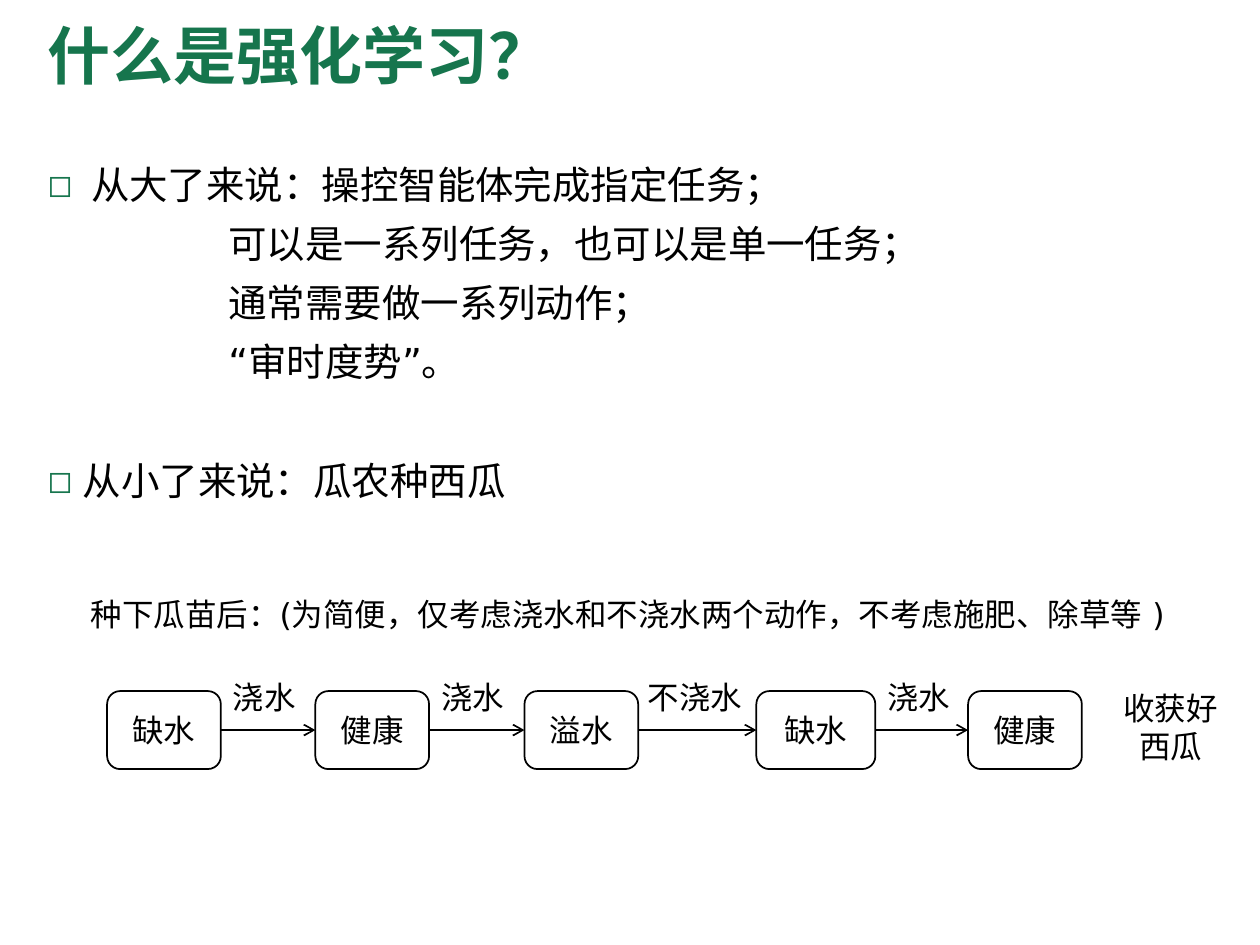
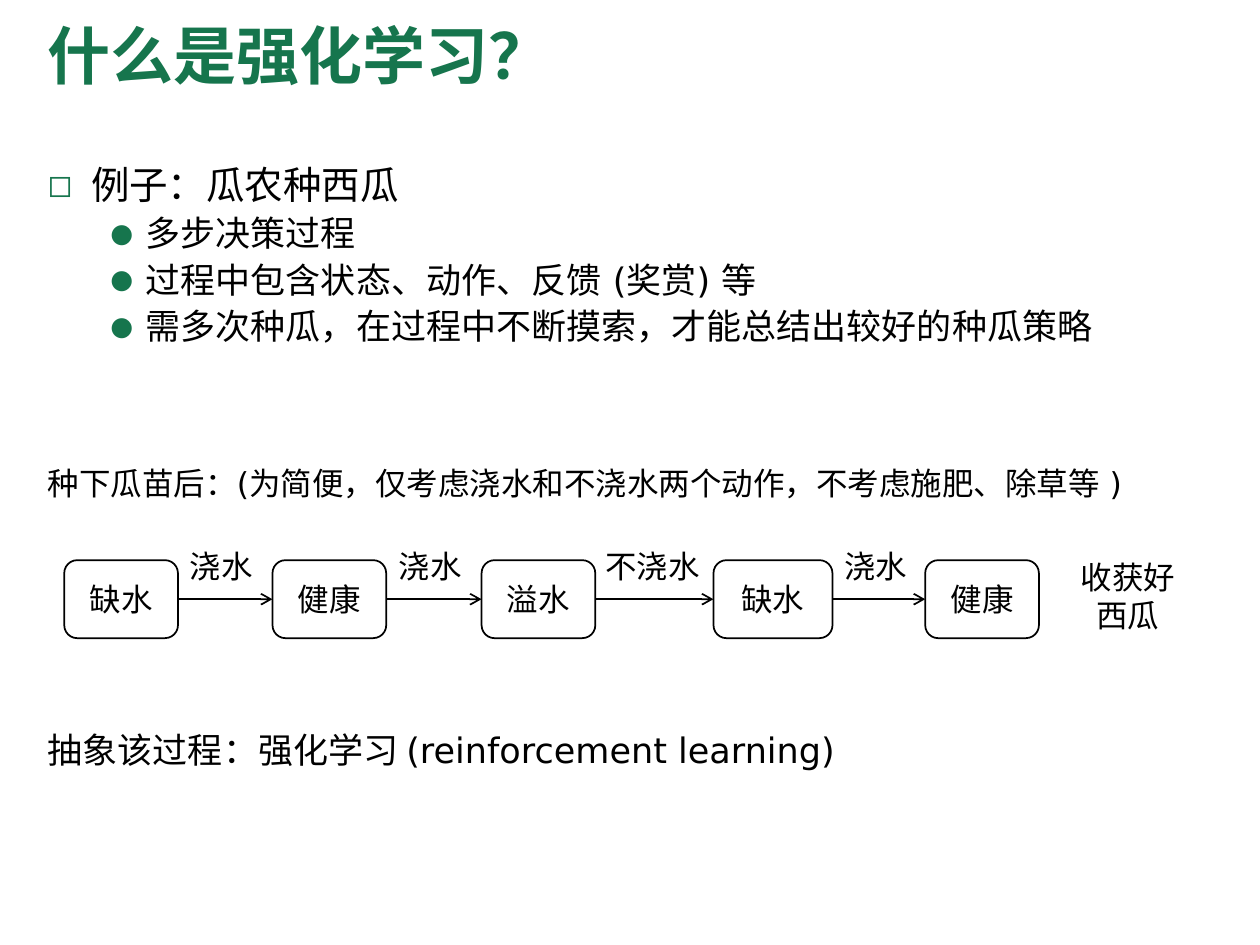
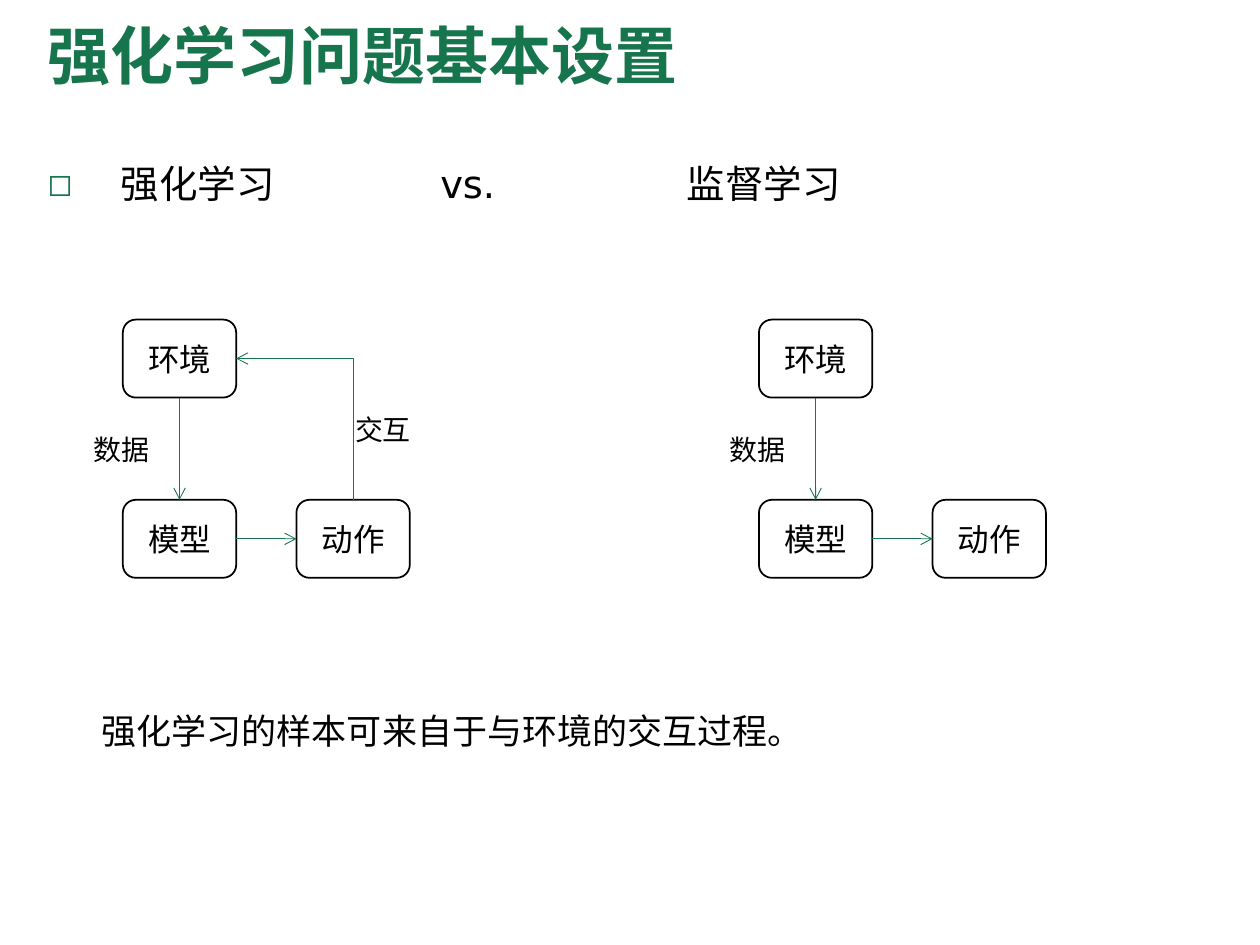
"""Build three slides that introduce reinforcement learning."""
from lxml.etree import SubElement
from pptx import Presentation
from pptx.dml.color import RGBColor
from pptx.enum.shapes import MSO_CONNECTOR, MSO_SHAPE
from pptx.enum.text import MSO_ANCHOR, PP_ALIGN
from pptx.oxml.ns import qn
from pptx.util import Pt

COLOURS = {"green": "16754D", "black": "000000"}
LATIN, CHINESE = "DejaVu Sans", "Noto Sans CJK SC"
SQUARE, DISC = "◻", "●"
BULLET_SCALE = {SQUARE: "80000", DISC: "75000"}


def add_text(slide, box, lines, size=18, font=LATIN, colour="black", bold=False, align=PP_ALIGN.LEFT,
             anchor=MSO_ANCHOR.TOP, spacing=None, outlined=False):
    """Add a text box or outlined node; a line is (runs, size, margin, hang, bullet, space before, tabs)."""
    position = [Pt(length) for length in box]
    if outlined:
        shape = slide.shapes.add_shape(MSO_SHAPE.ROUNDED_RECTANGLE, *position)
        shape.shadow.inherit = False
        shape.fill.background()
        shape.line.color.rgb = RGBColor.from_string(COLOURS["black"])
        shape.line.width = Pt(1)
    else:
        shape = slide.shapes.add_textbox(*position)
    frame = shape.text_frame
    frame.word_wrap = True
    frame.vertical_anchor = anchor
    if isinstance(lines, str):
        lines = [(lines, size, 0, 0, None, 0, ())]
    for index, (runs, line_size, margin, hang, bullet, before, tabs) in enumerate(lines):
        paragraph = frame.add_paragraph() if index else frame.paragraphs[0]
        paragraph.alignment = align
        properties = paragraph._p.get_or_add_pPr()
        properties.set("marL", str(Pt(margin)))
        properties.set("indent", str(Pt(-hang)))
        if bullet:
            bullet_colour = SubElement(properties, qn("a:buClr"))
            SubElement(bullet_colour, qn("a:srgbClr"), val=COLOURS["green"])
            SubElement(properties, qn("a:buSzPct"), val=BULLET_SCALE[bullet])
            SubElement(properties, qn("a:buFont"), typeface=LATIN)
            SubElement(properties, qn("a:buChar"), char=bullet)
        if tabs:
            tab_list = SubElement(properties, qn("a:tabLst"))
            for tab in tabs:
                SubElement(tab_list, qn("a:tab"), pos=str(Pt(tab)), algn="l")
        if spacing:
            paragraph.line_spacing = spacing
        if before:
            paragraph.space_before = Pt(before)
        for text, run_font in [(runs, font)] if isinstance(runs, str) else runs:
            run = paragraph.add_run()
            run.text = text
            run.font.size = Pt(line_size)
            run.font.bold = bold
            run.font.color.rgb = RGBColor.from_string(COLOURS[colour])
            run.font.name = run_font
            SubElement(run._r.get_or_add_rPr(), qn("a:ea"), typeface=run_font)
    return shape


def connect(slide, start, start_side, end, end_side, colour, width, kind=MSO_CONNECTOR.STRAIGHT):
    """Join two nodes with an arrow."""
    connector = slide.shapes.add_connector(kind, 0, 0, 0, 0)
    connector.begin_connect(start, start_side)
    connector.end_connect(end, end_side)
    connector.line.color.rgb = RGBColor.from_string(COLOURS[colour])
    connector.line.width = Pt(width)
    SubElement(connector.line._get_or_add_ln(), qn("a:tailEnd"), type="arrow")
    SubElement(connector._element.spPr, qn("a:effectLst"))
    return connector


presentation = Presentation()
presentation.slide_width, presentation.slide_height = Pt(720), Pt(540)

WHAT_IS = "什么是强化学习？"
BODY = (20, 91.5, 678, 439)
pages = [
    (WHAT_IS, BODY, [
        ("从大了来说：操控智能体完成指定任务；", 22, 25, 25, SQUARE, 0, ()),
        ("可以是一系列任务，也可以是单一任务；", 22, 103.5, 0, None, 10, ()),
        ("通常需要做一系列动作；", 22, 103.5, 0, None, 10, ()),
        ("“审时度势”。", 22, 103.5, 0, None, 10, ()),
        ("从小了来说：瓜农种西瓜", 22, 20.2, 20.2, SQUARE, 44, ()),
    ]),
    (WHAT_IS, BODY, [
        ("例子：瓜农种西瓜", 22, 25, 25, SQUARE, 0, ()),
        ("多步决策过程", 20, 56.2, 20.2, DISC, 5, ()),
        ("过程中包含状态、动作、反馈 (奖赏) 等", 20, 56.2, 20.2, DISC, 5, ()),
        ("需多次种瓜，在过程中不断摸索，才能总结出较好的种瓜策略", 20, 56.2, 20.2, DISC, 5, ()),
    ]),
    ("强化学习问题基本设置", (20, 91, 689, 397), [
        ("\t强化学习\tvs.\t监督学习", 22, 0, 0, SQUARE, 0, (42, 224.5, 365.5)),
    ]),
]
slides = []
for title, body_box, body_lines in pages:
    slide = presentation.slides.add_slide(presentation.slide_layouts[6])
    add_text(slide, (20, 3.5, 621, 61), title, 36, colour="green", bold=True,
             anchor=MSO_ANCHOR.MIDDLE, spacing=0.9)
    add_text(slide, body_box, body_lines, spacing=0.9)
    slides.append(slide)

states = [("缺水", 16.5, 65), ("健康", 135.5, 65), ("溢水", 255, 65), ("缺水", 387.5, 68), ("健康", 508.5, 65)]
actions = [("浇水", 81.2, 55.4), ("浇水", 200.5, 55.4), ("不浇水", 318.5, 72), ("浇水", 455.2, 55.4)]
for slide, left, top in [(slides[0], 44.7, 336.2), (slides[1], 20.2, 261.4)]:
    add_text(slide, (left, top, 630, 29),
             "种下瓜苗后：(为简便，仅考虑浇水和不浇水两个动作，不考虑施肥、除草等 )")
    nodes = [add_text(slide, (left + offset, top + 58.7, width, 44.6), state, align=PP_ALIGN.CENTER,
                      anchor=MSO_ANCHOR.MIDDLE, outlined=True) for state, offset, width in states]
    for start, end in zip(nodes, nodes[1:]):
        connect(slide, start, 3, end, 1, "black", 1)
    for action, offset, width in actions:
        add_text(slide, (left + offset, top + 47.5, width, 29), action)
    add_text(slide, (left + 583.3, top + 54, 82, 51), "收获好西瓜", align=PP_ALIGN.CENTER)

abstraction = [("抽象该过程：强化学习 ", CHINESE), ("(reinforcement learning)", LATIN)]
add_text(slides[1], (20.2, 412.5, 630, 31.5), [(abstraction, 20, 0, 0, None, 0, ())])

slide = slides[2]
for left, interactive in [(70.2, True), (433.7, False)]:
    labels = [("数据", left - 60, 243.4)]
    if interactive:
        labels.append(("交互", left + 89.6, 232))
    for label, label_left, label_top in labels:
        add_text(slide, (label_left, label_top, 109.4, 26.6), [(label, 16, 36, 0, None, 0, ())], font=CHINESE)
    environment, model, action = [
        add_text(slide, (left + across, top, 64.8, 44.6), name, align=PP_ALIGN.CENTER,
                 anchor=MSO_ANCHOR.MIDDLE, outlined=True)
        for name, across, top in [("环境", 0, 182.6), ("模型", 0, 285.6), ("动作", 99.2, 285.6)]]
    connect(slide, environment, 2, model, 0, "green", 0.5)
    connect(slide, model, 3, action, 1, "green", 0.5)
    if interactive:
        feedback = connect(slide, action, 0, environment, 3, "green", 0.5, MSO_CONNECTOR.ELBOW)
        across, rise = feedback.width, feedback.height
        feedback.left += (across - rise) // 2
        feedback.top += (rise - across) // 2
        feedback.width, feedback.height = rise, across
        properties = feedback._element.spPr
        properties.find(qn("a:prstGeom")).set("prst", "bentConnector2")
        transform = properties.find(qn("a:xfrm"))
        for name, value in [("rot", "16200000"), ("flipH", "0"), ("flipV", "1")]:
            transform.set(name, value)
add_text(slide, (15, 401.8, 665, 31.5),
         [("强化学习的样本可来自于与环境的交互过程。", 20, 36, 0, None, 0, ())], font=CHINESE)

presentation.save("out.pptx")
